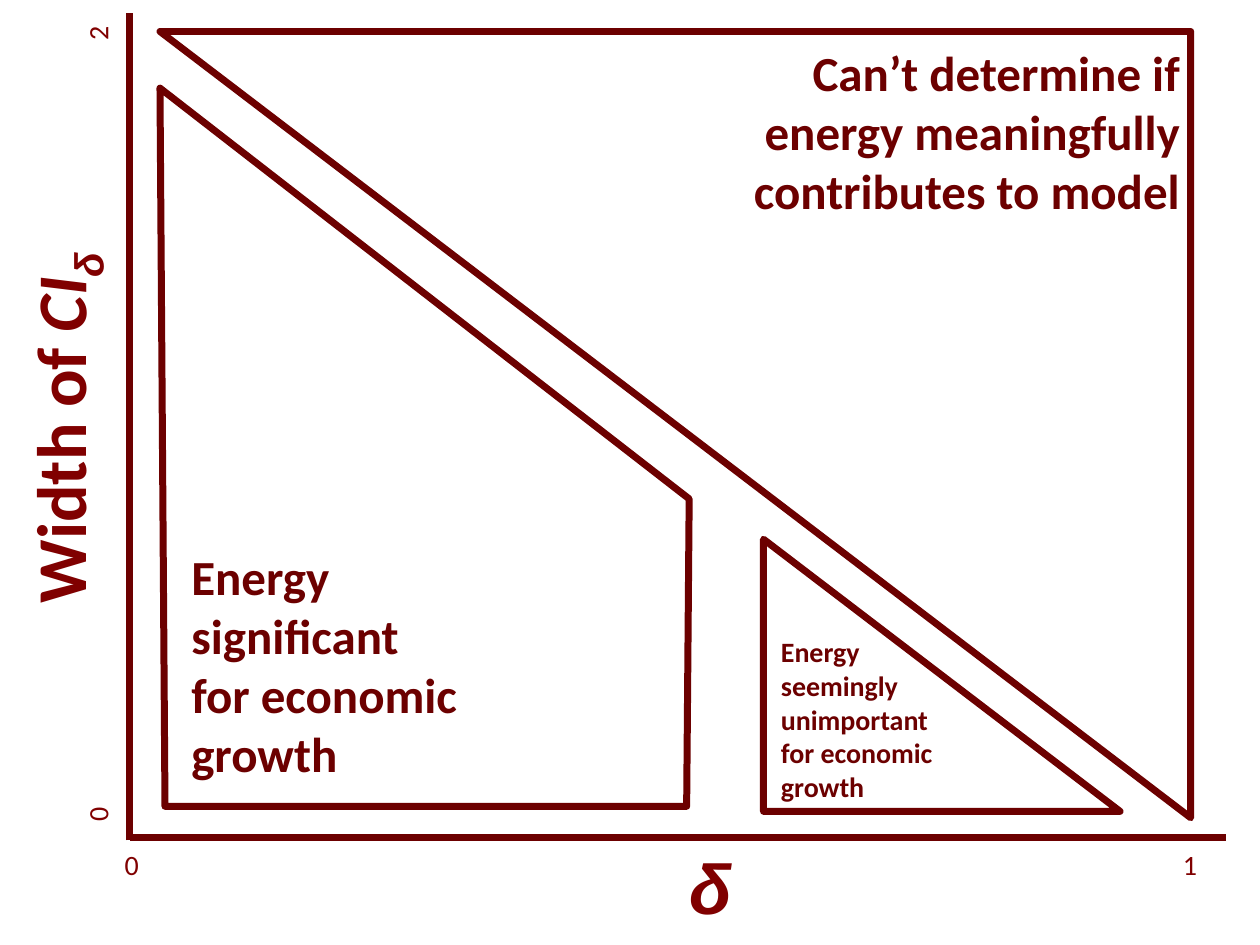
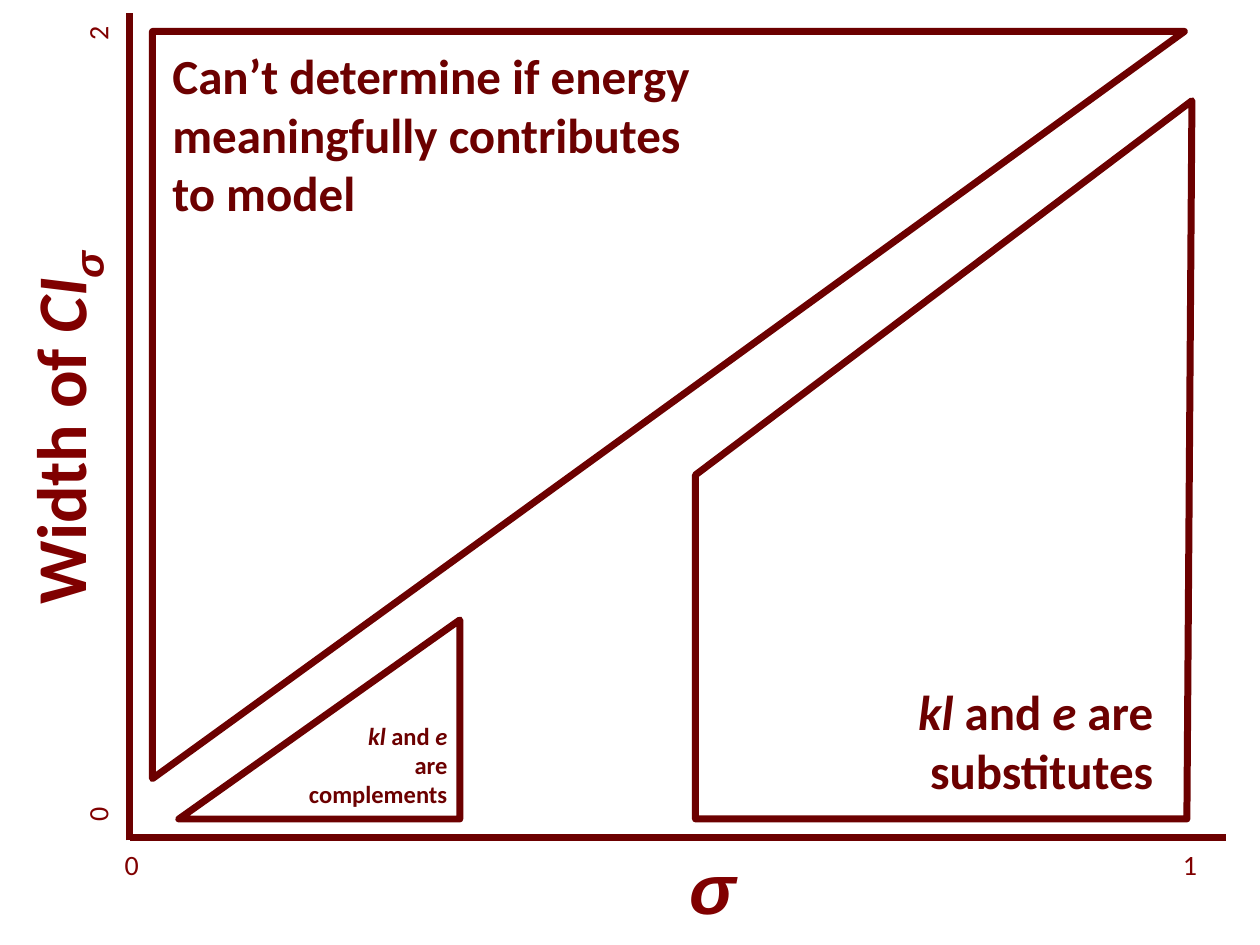
from lxml.etree import SubElement
from pptx import Presentation
from pptx.dml.color import RGBColor
from pptx.enum.shapes import MSO_CONNECTOR as CONNECTOR, MSO_SHAPE as SHAPE
from pptx.enum.text import MSO_AUTO_SIZE as AUTO_SIZE, PP_ALIGN as ALIGN
from pptx.oxml.ns import qn
from pptx.util import Inches, Pt

DARK_RED = "6C0000"
AXIS_RED = "800000"
rgb = RGBColor.from_string


def add_label(page, area, paragraphs, size, color=DARK_RED, bold=True,
              align=ALIGN.LEFT, wrap=True, rotation=0):
    """Write paragraphs of (text, style) runs; styles are plain, italic, greek or sub."""
    box = page.shapes.add_textbox(*[Inches(length) for length in area])
    box.rotation = rotation
    frame = box.text_frame
    frame.word_wrap = wrap
    frame.auto_size = AUTO_SIZE.SHAPE_TO_FIT_TEXT
    for index, runs in enumerate(paragraphs):
        para = frame.add_paragraph() if index else frame.paragraphs[0]
        para.alignment = align
        for text, style in runs:
            span = para.add_run()
            span.text = text
            font = span.font
            font.name = "Arial" if style in ("greek", "sub") else "Calibri"
            font.size = Pt(size)
            font.bold = bold
            font.italic = style != "plain"
            font.color.rgb = rgb(color)
            if style == "sub":
                font._element.set("baseline", "-25000")


def draw_outline(shape):
    """Give a region or axis the thick dark red line, without shadow."""
    shape.line.color.rgb = rgb(DARK_RED)
    shape.line.width = Pt(4)
    if hasattr(shape, "fill"):
        shape.fill.background()
        shape.shadow.inherit = False
    else:
        SubElement(shape.element.spPr, qn("a:effectLst"))


AXES = [(1.03, 6.65, 9.73, 6.65), (1.03, 6.67, 1.03, 0.1)]
TICKS = [
    ("0", 0.88, 6.68, 0),
    ("1", 9.28, 6.68, 0),
    ("0", 0.61, 6.28, 270),
    ("2", 0.61, 0.08, 270),
]

# Triangles: area, rotation, horizontal flip.
# Labels: area, size, alignment, wrap, paragraphs of runs.
CHARTS = [
    {
        "symbol": "δ",
        "triangles": [
            ((1.27, 0.25, 8.18, 6.24), 180, False),
            ((6.06, 4.28, 2.83, 2.16), 0, False),
        ],
        "trapezoid": [(1.27, 0.7), (1.31, 6.4), (5.45, 6.4), (5.47, 3.96)],
        "labels": [
            ((1.42, 4.29, 3.83, 1.99), 28, ALIGN.LEFT, True,
             [[("Energy", "plain")], [("significant", "plain")],
              [("for economic", "plain")], [("growth", "plain")]]),
            ((5.64, 0.29, 3.82, 1.99), 28, ALIGN.RIGHT, True,
             [[("Can’t determine if energy meaningfully contributes to model", "plain")]]),
            ((6.1, 4.99, 1.97, 1.45), 16, ALIGN.LEFT, True,
             [[("Energy ", "plain")], [("seemingly unimportant ", "plain")],
              [("for economic growth", "plain")]]),
        ],
    },
    {
        "symbol": "σ",
        "triangles": [
            ((2.34, -0.88, 5.93, 8.19), 90, False),
            ((1.42, 4.92, 2.23, 1.58), 0, True),
        ],
        "trapezoid": [(9.46, 0.8), (9.42, 6.5), (5.52, 6.5), (5.52, 3.77)],
        "labels": [
            ((1.27, 0.31, 4.36, 1.51), 28, ALIGN.LEFT, False,
             [[("Can’t determine if energy", "plain")],
              [("meaningfully contributes", "plain")], [("to model", "plain")]]),
            ((1.15, 5.67, 2.5, 0.81), 14, ALIGN.RIGHT, True,
             [[("kl", "italic"), (" and ", "plain"), ("e", "italic")],
              [("are", "plain")], [("complements", "plain")]]),
            ((5.64, 5.36, 3.61, 1.04), 28, ALIGN.RIGHT, True,
             [[("kl", "italic"), (" and ", "plain"), ("e", "italic"),
               (" are substitutes", "plain")]]),
        ],
    },
]

deck = Presentation()
deck.slide_width, deck.slide_height = Inches(10), Inches(7.5)

for chart in CHARTS:
    page = deck.slides.add_slide(deck.slide_layouts[6])
    symbol = chart["symbol"]

    # Axes with their titles and tick labels
    for ends in AXES:
        axis = page.shapes.add_connector(CONNECTOR.STRAIGHT, *[Inches(end) for end in ends])
        draw_outline(axis)
    add_label(page, (5.37, 6.65, 0.65, 0.77), [[(symbol, "greek")]], 40, AXIS_RED,
              wrap=False)
    add_label(page, (-1.08, 3.01, 3.09, 0.77),
              [[("Width of ", "plain"), ("CI", "italic"), (symbol, "sub")]],
              40, AXIS_RED, align=ALIGN.CENTER, wrap=False, rotation=270)
    for value, left, top, rotation in TICKS:
        add_label(page, (left, top, 0.33, 0.37), [[(value, "plain")]], 16, AXIS_RED,
                  bold=False, align=ALIGN.CENTER, wrap=False, rotation=rotation)

    # Regions
    for area, rotation, flipped in chart["triangles"]:
        triangle = page.shapes.add_shape(SHAPE.RIGHT_TRIANGLE,
                                         *[Inches(length) for length in area])
        triangle.rotation = rotation
        if flipped:
            triangle.element.spPr.find(qn("a:xfrm")).set("flipH", "1")
        draw_outline(triangle)
    corners = [(Inches(x), Inches(y)) for x, y in chart["trapezoid"]]
    builder = page.shapes.build_freeform(*corners[0])
    builder.add_line_segments(corners[1:], close=True)
    draw_outline(builder.convert_to_shape())

    for area, size, align, wrap, paragraphs in chart["labels"]:
        add_label(page, area, paragraphs, size, align=align, wrap=wrap)

deck.save("out.pptx")
